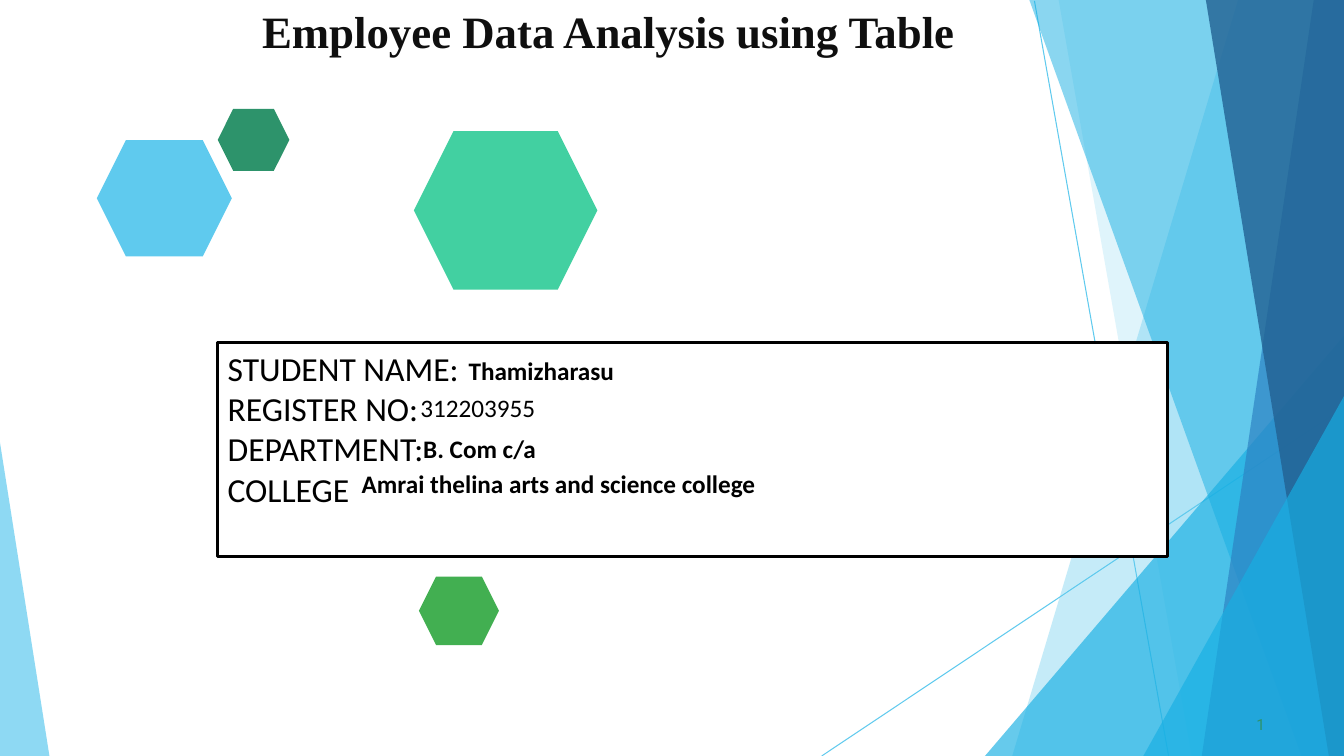
import pptx
import pptx.util
import pptx.dml.color
import pptx.enum.shapes
import pptx.enum.text
import pptx.oxml
import pptx.oxml.ns

Pt, Inches = pptx.util.Pt, pptx.util.Inches
SHAPE = pptx.enum.shapes.MSO_SHAPE
ALIGN = pptx.enum.text.PP_ALIGN
TOP = pptx.enum.text.MSO_ANCHOR.TOP

prs = pptx.Presentation()
prs.slide_width, prs.slide_height = Inches(13.33), Inches(7.5)
PAGE = (0, 0, prs.slide_width, prs.slide_height)

# Top edge x, top edge y, bottom x (percent of the page), colour, opacity
FACETS = [
    (92.12, 0, 75.32, "5FCAEE", 36),
    (78.77, 0, 88.67, "5FCAEE", 20),
    (100, 44.4, 73.29, "17AFE3", 66),
    (76.59, 0, 96.85, "17AFE3", 50),
    (97.75, 0, 89.42, "2D83C3", 70),
    (89.72, 0, 98.87, "226192", 80),
    (100, 52.4, 85.07, "17AFE3", 66),
]
RAYS = [(76.97, 0.13, 86.95, 100), (100, 53.87, 61.14, 100)]
HEXAGONS = [
    ((7.2, 18.53, 10.05, 15.4), "5FCAEE"),
    ((16.2, 14.4, 5.33, 8.2), "2D936B"),
    ((30.8, 17.33, 13.65, 21), "42D0A1"),
    ((31.17, 76.27, 5.95, 9.07), "42AF51"),
]
# Label, value, value box (percent of the card), bold
DETAILS = [
    ("STUDENT NAME:", "Thamizharasu", (25.37, 3.77, 52.65, 19), True),
    ("REGISTER NO:", "312203955", (20.28, 20.75, 21.23, 19), False),
    ("DEPARTMENT:", "B. Com c/a", (20.59, 40.09, 21.23, 19), True),
    ("COLLEGE", "Amrai thelina arts and science college",
     (14.12, 56.6, 81.63, 19), True),
]


def rgb(value):
    return pptx.dml.color.RGBColor.from_string(value)


def within(box, shares):
    """Turn percentages of a box into left, top, width, height."""
    x, y, w, h = box
    left, top, width, height = shares
    return (int(x + w * left / 100), int(y + h * top / 100),
            int(w * width / 100), int(h * height / 100))


def put(obj, values):
    for name, value in values.items():
        setattr(obj, name, value)


def paint(sp, color, opacity=100):
    sp.shadow.inherit = False
    sp.fill.solid()
    sp.fill.fore_color.rgb = rgb(color)
    sp.line.fill.background()
    if opacity < 100:
        clr = sp.fill._xPr.find(".//" + pptx.oxml.ns.qn("a:srgbClr"))
        alpha = pptx.oxml.ns.qn("a:alpha")
        clr.makeelement(alpha)
        clr.append(clr.makeelement(alpha, {"val": str(opacity * 1000)}))


def write(p, text, color, font, paragraph=None):
    put(p, {"alignment": ALIGN.LEFT, **(paragraph or {})})
    r = p.add_run()
    r.text = text
    put(r.font, font)
    r.font.color.rgb = rgb(color)


def text_box(s, box, text, color, font, frame=None, paragraph=None):
    tf = s.shapes.add_textbox(*box).text_frame
    put(tf, {"word_wrap": True, **(frame or {})})
    write(tf.paragraphs[0], text, color, font, paragraph)


def polygon(s, box, points, color, opacity):
    pts = [within(box, (x, y, 0, 0))[:2] for x, y in points]
    builder = s.shapes.build_freeform(*pts[0])
    builder.add_line_segments(pts[1:], close=True)
    paint(builder.convert_to_shape(), color, opacity)


def backdrop(s, box):
    for x1, y1, x2, y2 in RAYS:
        ends = within(box, (x1, y1, 0, 0))[:2] + within(box, (x2, y2, 0, 0))[:2]
        ray = s.shapes.add_connector(
            pptx.enum.shapes.MSO_CONNECTOR.STRAIGHT, *ends)
        ray.line.color.rgb = rgb("5FCAEE")
        ray.line.width = Pt(0.75)
        ray._element.spPr.append(pptx.oxml.parse_xml(
            "<a:effectLst %s/>" % pptx.oxml.ns.nsdecls("a")))
    for top_x, top_y, bottom_x, color, opacity in FACETS:
        points = [(100, top_y), (top_x, top_y), (bottom_x, 100), (100, 100)]
        polygon(s, box, points, color, opacity)
    polygon(s, box, [(0, 58.53), (0, 100), (3.68, 100)], "5FCAEE", 70)


def hexagons(s, box):
    for shares, color in HEXAGONS:
        paint(s.shapes.add_shape(SHAPE.HEXAGON, *within(box, shares)), color)


def heading(s, box):
    title = s.shapes.title
    left, top, width, height = box
    put(title, {"left": left, "top": top, "width": width, "height": height})
    tf = title.text_frame
    put(tf, {"margin_left": Inches(3.51), "margin_top": Inches(0.02),
             "margin_right": 0, "margin_bottom": 0, "word_wrap": True,
             "vertical_anchor": TOP,
             "auto_size": pptx.enum.text.MSO_AUTO_SIZE.NONE})
    write(tf.paragraphs[0], "Employee Data Analysis using Table", "0F0F0F",
          {"size": Pt(32), "name": "Times New Roman", "bold": True},
          {"space_before": Pt(1.3)})


def page_number(s, box):
    text_box(s, box, "1", "2D936B", {"size": Pt(11), "name": "Roboto"},
             {"margin_left": Inches(0.04), "margin_top": Inches(0.01),
              "margin_right": 0, "margin_bottom": 0},
             {"space_before": Pt(0.6)})


def student_card(s, box):
    card = s.shapes.add_shape(SHAPE.RECTANGLE, *box)
    paint(card, "FFFFFF")
    card.line.color.rgb = rgb("000000")
    card.line.width = Pt(2)
    tf = card.text_frame
    put(tf, {"word_wrap": True, "vertical_anchor": TOP})
    for i, (label, value, shares, bold) in enumerate(DETAILS):
        p = tf.add_paragraph() if i else tf.paragraphs[0]
        write(p, label, "000000", {"size": Pt(24), "name": "Calibri"})
        text_box(s, within(box, shares), value, "000000",
                 {"size": Pt(18), "name": "Calibri", "bold": bold})


def cover_slide(box):
    s = prs.slides.add_slide(prs.slide_layouts[0])
    subtitle = s.placeholders[1]._element
    subtitle.getparent().remove(subtitle)
    backdrop(s, box)
    hexagons(s, box)
    heading(s, within(box, (-6.83, 0.27, 81.92, 14.67)))
    page_number(s, within(box, (93.17, 94.4, 1.28, 2.8)))
    student_card(s, within(box, (16.2, 45.33, 70.67, 28.27)))


if __name__ == "__main__":
    cover_slide(PAGE)
    prs.save("out.pptx")
